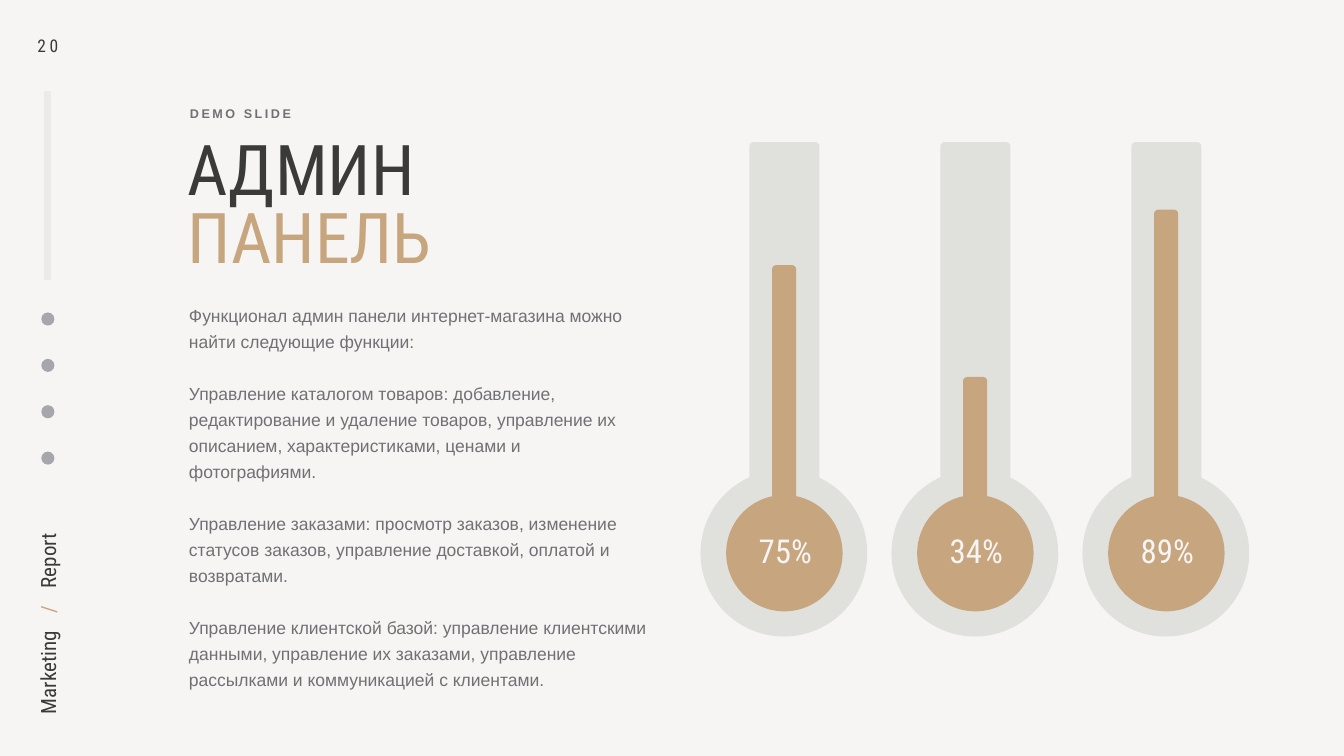
import pptx
import pptx.dml.color
import pptx.enum.shapes
import pptx.enum.text
import pptx.oxml.ns
import pptx.util
from lxml import etree

PX = 9144  # 100 px to the inch
HUES = {"paper": "F6F5F3", "ink": "3A3B39", "gold": "C7A57F", "text": "717175",
        "tube": "E0E0DD", "icon": "A6A7AC", "rule": "EBEAE7"}
COLOR = {name: pptx.dml.color.RGBColor.from_string(hue) for name, hue in HUES.items()}
HEAD, BODY = "Roboto Condensed", "Arial"
KIND = pptx.enum.shapes.MSO_SHAPE
ALIGN = pptx.enum.text.PP_ALIGN
ANCHOR = pptx.enum.text.MSO_ANCHOR
qn = pptx.oxml.ns.qn


def write(parent, box, lines, holder=None, font=HEAD, size=25, bold=False, space=0,
          align=ALIGN.LEFT, anchor=ANCHOR.TOP, pitch=1.0, gap=0, tabs=()):
    """Fill a text box, or the given placeholder; each line is a list of (text, colour)."""
    area = [n * PX for n in box]
    if holder is None:
        holder = parent.add_textbox(*area)
    else:
        holder.left, holder.top, holder.width, holder.height = area
    frame = holder.text_frame
    frame.word_wrap = True
    frame.auto_size = pptx.enum.text.MSO_AUTO_SIZE.NONE
    frame.vertical_anchor = anchor
    frame.margin_left = frame.margin_right = 4 * PX
    frame.margin_top = frame.margin_bottom = 4 * PX
    for i, line in enumerate(lines):
        para = frame.paragraphs[0] if i == 0 else frame.add_paragraph()
        para.alignment = align
        para.line_spacing = pitch
        para.space_before = pptx.util.Pt(gap if i else 0)
        props = para._p.get_or_add_pPr()
        props.set("marL", "0")
        props.set("indent", "0")
        etree.SubElement(props, qn("a:buNone"))
        if tabs:
            stops = etree.SubElement(props, qn("a:tabLst"))
            for stop in tabs:
                etree.SubElement(stops, qn("a:tab"), pos=str(stop * PX), algn="l")
        for text, color in line:
            run = para.add_run()
            run.text = text
            run.font.name = font
            run.font.size = pptx.util.Pt(size)
            run.font.bold = bold
            run.font.color.rgb = COLOR[color]
            if space:
                run._r.get_or_add_rPr().set("spc", str(round(space * 100)))
    return holder


def draw(parent, kind, box, color, round_by=None):
    shape = parent.add_shape(kind, *[n * PX for n in box])
    shape.shadow.inherit = False
    shape.fill.solid()
    shape.fill.fore_color.rgb = COLOR[color]
    shape.line.fill.background()
    if round_by is not None:
        shape.adjustments[0] = round_by


deck = pptx.Presentation()
deck.slide_width, deck.slide_height = 2667 * PX, 1500 * PX
slide = deck.slides.add_slide(deck.slide_layouts[1])
slide.background.fill.solid()
slide.background.fill.fore_color.rgb = COLOR["paper"]
shapes = slide.shapes

# Side bar: page number, rule, icons and running title
write(shapes, (47, 66, 96, 50), [[("20", "ink")]], space=5, align=ALIGN.CENTER)
rule = shapes.add_connector(pptx.enum.shapes.MSO_CONNECTOR.STRAIGHT,
                            95 * PX, 556 * PX, 95 * PX, 181 * PX)
rule.line.color.rgb = COLOR["rule"]
rule.line.width = pptx.util.Pt(10)
etree.SubElement(rule._element.spPr, qn("a:effectLst"))
for i in range(4):
    draw(shapes, KIND.OVAL, (82, 620 + 92 * i, 26, 26), "icon")
side = write(shapes, (-105, 1192, 400, 58),
             [[("Marketing\t", "ink"), ("/\t", "gold"), ("Report", "ink")]],
             size=30, anchor=ANCHOR.MIDDLE, tabs=(196, 238))
side.rotation = 270

# Heading and text
write(shapes, (373, 206, 424, 37), [[("DEMO SLIDE", "text")]], font=BODY, size=18,
      bold=True, space=3.6, anchor=ANCHOR.MIDDLE)
write(shapes, (369, 278, 830, 364), [[("АДМИН", "ink")], [("ПАНЕЛЬ", "gold")]],
      holder=shapes.title, size=100, pitch=0.8)
notes = [
    "Функционал админ панели интернет-магазина можно найти следующие функции:",
    "Управление каталогом товаров: добавление, редактирование и удаление товаров, "
    "управление их описанием, характеристиками, ценами и фотографиями.",
    "Управление заказами: просмотр заказов, изменение статусов заказов, "
    "управление доставкой, оплатой и возвратами.",
    "Управление клиентской базой: управление клиентскими данными, управление их "
    "заказами, управление рассылками и коммуникацией с клиентами.",
]
write(shapes, (371, 591, 923, 828), [[(note, "text")] for note in notes],
      holder=slide.placeholders[1], font=BODY, pitch=1.25, gap=36)

# Thermometers: label and top of the gold column
base = 995
for i, (label, top) in enumerate([("75%", 526), ("34%", 748), ("89%", 416)]):
    x = 1390 + 379 * i
    group = shapes.add_group_shape().shapes
    draw(group, KIND.OVAL, (x, 932, 331, 331), "tube")
    draw(group, KIND.ROUNDED_RECTANGLE, (x + 97, 282, 139, 723), "tube", 0.06)
    draw(group, KIND.OVAL, (x + 51, 982, 231, 231), "gold")
    draw(group, KIND.ROUNDED_RECTANGLE, (x + 142, top, 48, base - top), "gold", 0.17)
    write(group, (x + 13, 1048, 311, 141), [[(label, "paper")]], size=47,
          align=ALIGN.CENTER)

deck.save("out.pptx")
